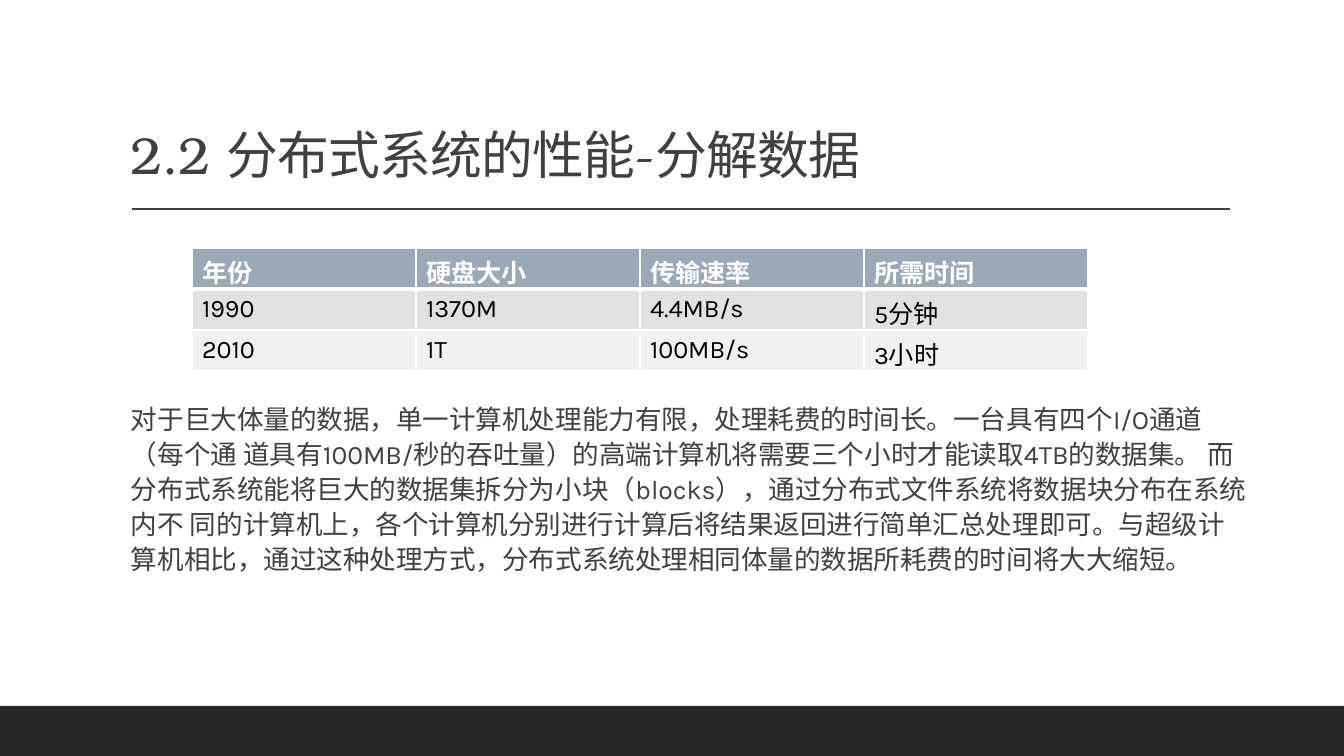
from dataclasses import dataclass

from lxml import etree
from pptx import Presentation
from pptx.dml.color import RGBColor
from pptx.enum import shapes, text
from pptx.oxml import ns
from pptx.util import Emu, Pt

EMU_PER_PX = 914400 / 100.8
WHITE = RGBColor(0xFF, 0xFF, 0xFF)
BLACK = RGBColor(0, 0, 0)
INK = RGBColor(0x40, 0x40, 0x40)
FOOTER = RGBColor(0x26, 0x26, 0x26)
HEADER = RGBColor(0x9B, 0xA8, 0xB7)
BAND_DARK = RGBColor(0xDE, 0xE1, 0xE6)
BAND_LIGHT = RGBColor(0xEF, 0xF1, 0xF3)


@dataclass(frozen=True)
class Passage:
    words: str
    box: tuple[int, int, int, int]
    frame: dict
    paragraph: dict
    font: dict
    tracking: int = 0
    indent: int = 0


@dataclass(frozen=True)
class DiskRow:
    values: tuple[str, ...]
    fill: RGBColor
    ink: RGBColor
    bold: bool
    top: float
    bottom: float


PASSAGES = (
    Passage(
        "2.2 分布式系统的性能-分解数据",
        (121, 31, 1109, 160),
        {"vertical_anchor": text.MSO_ANCHOR.BOTTOM},
        {"line_spacing": 0.9},
        {"name": "TeX Gyre Bonum", "size": Pt(37)},
        tracking=-50,
    ),
    Passage(
        "对于巨大体量的数据，单一计算机处理能力有限，处理耗费的时间长。"
        "一台具有四个I/O通道（每个通 道具有100MB/秒的吞吐量）的高端计算机将需要三个小时才能读取4TB的数据集。 "
        "而分布式系统能将巨大的数据集拆分为小块（blocks），通过分布式文件系统将数据块分布在系统内不 "
        "同的计算机上，各个计算机分别进行计算后将结果返回进行简单汇总处理即可。"
        "与超级计算机相比，通过这种处理方式，分布式系统处理相同体量的数据所耗费的时间将大大缩短。",
        (121, 395, 1126, 252),
        {"margin_left": 0, "margin_right": 0},
        {"line_spacing": 1.1, "space_after": Pt(2)},
        {"name": "Karla", "size": Pt(19)},
        indent=10,
    ),
)

DISK_ROWS = (
    DiskRow(("年份", "硬盘大小", "传输速率", "所需时间"), HEADER, WHITE, True, 1, 3),
    DiskRow(("1990", "1370M", "4.4MB/s", "5分钟"), BAND_DARK, BLACK, False, 3, 1),
    DiskRow(("2010", "1T", "100MB/s", "3小时"), BAND_LIGHT, BLACK, False, 1, 1),
)
COLUMN_WIDTH, ROW_HEIGHT = 224, 41


def px(length: int) -> Emu:
    return Emu(round(length * EMU_PER_PX))


def apply(target, values: dict) -> None:
    for name, value in values.items():
        setattr(target, name, value)


def draw_footer(slide) -> None:
    footer = slide.shapes.add_shape(
        shapes.MSO_SHAPE.RECTANGLE, *map(px, (0, 706, 1344, 50)))
    footer.shadow.inherit = False
    footer.fill.solid()
    footer.fill.fore_color.rgb = FOOTER
    footer.line.fill.background()


def draw_title_rule(slide) -> None:
    rule = slide.shapes.add_connector(
        shapes.MSO_CONNECTOR.STRAIGHT, *map(px, (132, 209, 1230, 209)))
    rule.line.color.rgb = INK
    rule.line.width = Pt(1)
    etree.SubElement(rule._element.spPr, ns.qn("a:effectLst"))


def draw_passage(slide, passage: Passage) -> None:
    frame = slide.shapes.add_textbox(*map(px, passage.box)).text_frame
    frame.word_wrap = True
    apply(frame, passage.frame)
    paragraph = frame.paragraphs[0]
    apply(paragraph, passage.paragraph)
    paragraph._p.get_or_add_pPr().set("marL", str(px(passage.indent)))
    run = paragraph.add_run()
    run.text = passage.words
    apply(run.font, passage.font)
    run.font.color.rgb = INK
    run._r.get_or_add_rPr().set("spc", str(passage.tracking))


def draw_border(cell, side: str, width: float) -> None:
    border = etree.SubElement(
        cell._tc.get_or_add_tcPr(), ns.qn(f"a:ln{side}"), w=str(Pt(width)))
    fill = etree.SubElement(border, ns.qn("a:solidFill"))
    etree.SubElement(fill, ns.qn("a:srgbClr"), val=str(WHITE))


def draw_cell(cell, value: str, row: DiskRow) -> None:
    for side, width in {"L": 1, "R": 1, "T": row.top, "B": row.bottom}.items():
        draw_border(cell, side, width)
    cell.fill.solid()
    cell.fill.fore_color.rgb = row.fill
    run = cell.text_frame.paragraphs[0].add_run()
    run.text = value
    apply(run.font, {"name": "Karla", "size": Pt(18), "bold": row.bold})
    run.font.color.rgb = row.ink


def draw_disk_table(slide, rows: tuple[DiskRow, ...]) -> None:
    columns = len(rows[0].values)
    disks = slide.shapes.add_table(
        len(rows), columns, px(192), px(248),
        px(COLUMN_WIDTH * columns), px(ROW_HEIGHT * len(rows))).table
    for column in disks.columns:
        column.width = px(COLUMN_WIDTH)
    for r, row in enumerate(rows):
        disks.rows[r].height = px(ROW_HEIGHT)
        for c, value in enumerate(row.values):
            draw_cell(disks.cell(r, c), value, row)


def main() -> None:
    deck = Presentation()
    deck.slide_width, deck.slide_height = px(1344), px(756)
    slide = deck.slides.add_slide(deck.slide_layouts[6])
    draw_footer(slide)
    draw_title_rule(slide)
    for passage in PASSAGES:
        draw_passage(slide, passage)
    draw_disk_table(slide, DISK_ROWS)
    deck.save("out.pptx")


if __name__ == "__main__":
    main()
